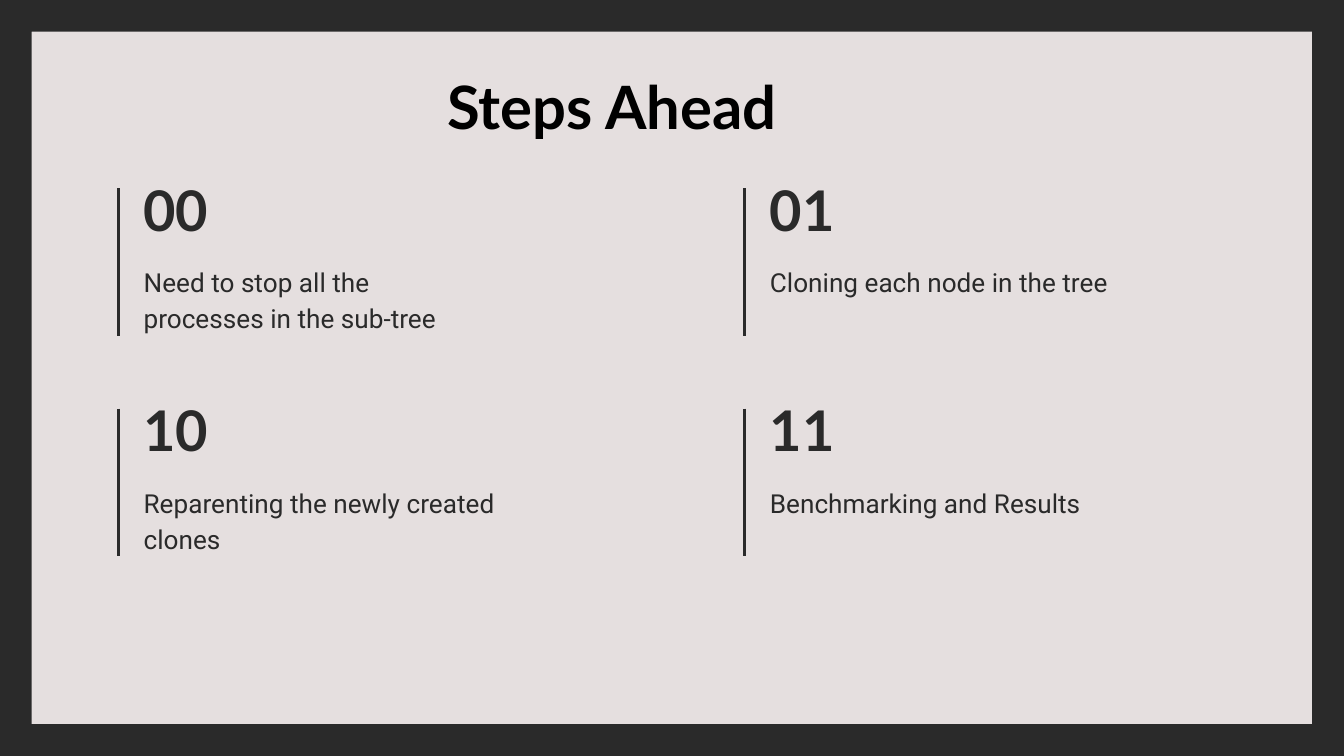
import pptx
import pptx.util
import pptx.dml.color
import pptx.enum.shapes
import pptx.enum.text
import pptx.oxml.ns
import lxml.etree

# Content: one list per row of the grid
TITLE = "Steps Ahead"
STEP_ROWS = [
    [("00", "Need to stop all the processes in the sub-tree"),
     ("01", "Cloning each node in the tree")],
    [("10", "Reparenting the newly created clones"),
     ("11", "Benchmarking and Results")],
]

# Style and grid, in inches
DARK, PAPER, BLACK = "2A2A2A", "E5DFDF", "000000"
WIDTH = 10
HEIGHT = WIDTH * 9 / 16
GRID_LEFT, GRID_TOP = 0.88, 1.4
COLUMN_STEP, ROW_STEP = 4.66, 1.64
RULE_HEIGHT = 1.1

inches = pptx.util.Inches


def color(value):
    return pptx.dml.color.RGBColor.from_string(value)


def add_text(page, text, left, top, width, height, font, size, ink=DARK,
             bold=False, spacing=None, inset=0.1, middle=False):
    box = page.shapes.add_textbox(
        inches(left), inches(top), inches(width), inches(height))
    frame = box.text_frame
    frame.text = text
    frame.word_wrap = True
    frame.margin_top = frame.margin_bottom = inches(inset)
    if middle:
        frame.vertical_anchor = pptx.enum.text.MSO_ANCHOR.MIDDLE
    para = frame.paragraphs[0]
    if spacing:
        para.line_spacing = spacing
    span = para.runs[0]
    span.font.name = font
    span.font.size = pptx.util.Pt(size)
    span.font.bold = bold
    span.font.color.rgb = color(ink)


def add_rule(page, left, top):
    rule = page.shapes.add_connector(
        pptx.enum.shapes.MSO_CONNECTOR.STRAIGHT,
        inches(left), inches(top), inches(left), inches(top + RULE_HEIGHT))
    rule.line.color.rgb = color(DARK)
    rule.line.width = pptx.util.Pt(1.5)
    lxml.etree.SubElement(
        rule._element.spPr, pptx.oxml.ns.qn("a:effectLst"))


def add_step(page, number, label, left, top):
    add_text(page, label, left + 0.09, top + 0.45, 2.82, 0.63,
             "Roboto", 14, spacing=1.15)
    add_text(page, number, left + 0.09, top - 0.09, 0.8, 0.49,
             "Lato", 30, bold=True, middle=True)
    add_rule(page, left, top)


deck = pptx.Presentation()
deck.slide_width, deck.slide_height = inches(WIDTH), inches(HEIGHT)
page = deck.slides.add_slide(deck.slide_layouts[6])

# Background and border
page.background.fill.solid()
page.background.fill.fore_color.rgb = color(PAPER)
border = page.shapes.add_shape(
    pptx.enum.shapes.MSO_SHAPE.FRAME,
    0, 0, inches(WIDTH), inches(HEIGHT))
border.adjustments[0] = 0.042
border.shadow.inherit = False
border.fill.solid()
border.fill.fore_color.rgb = color(DARK)
border.line.fill.background()

# Steps on a two by two grid
for row, steps in enumerate(STEP_ROWS):
    for column, (number, label) in enumerate(steps):
        add_step(page, number, label,
                 GRID_LEFT + column * COLUMN_STEP, GRID_TOP + row * ROW_STEP)

# Title
add_text(page, TITLE, 3.23, 0.47, 4.88, 0.64, "Lato", 32,
         ink=BLACK, bold=True, inset=0.05)

deck.save("out.pptx")
